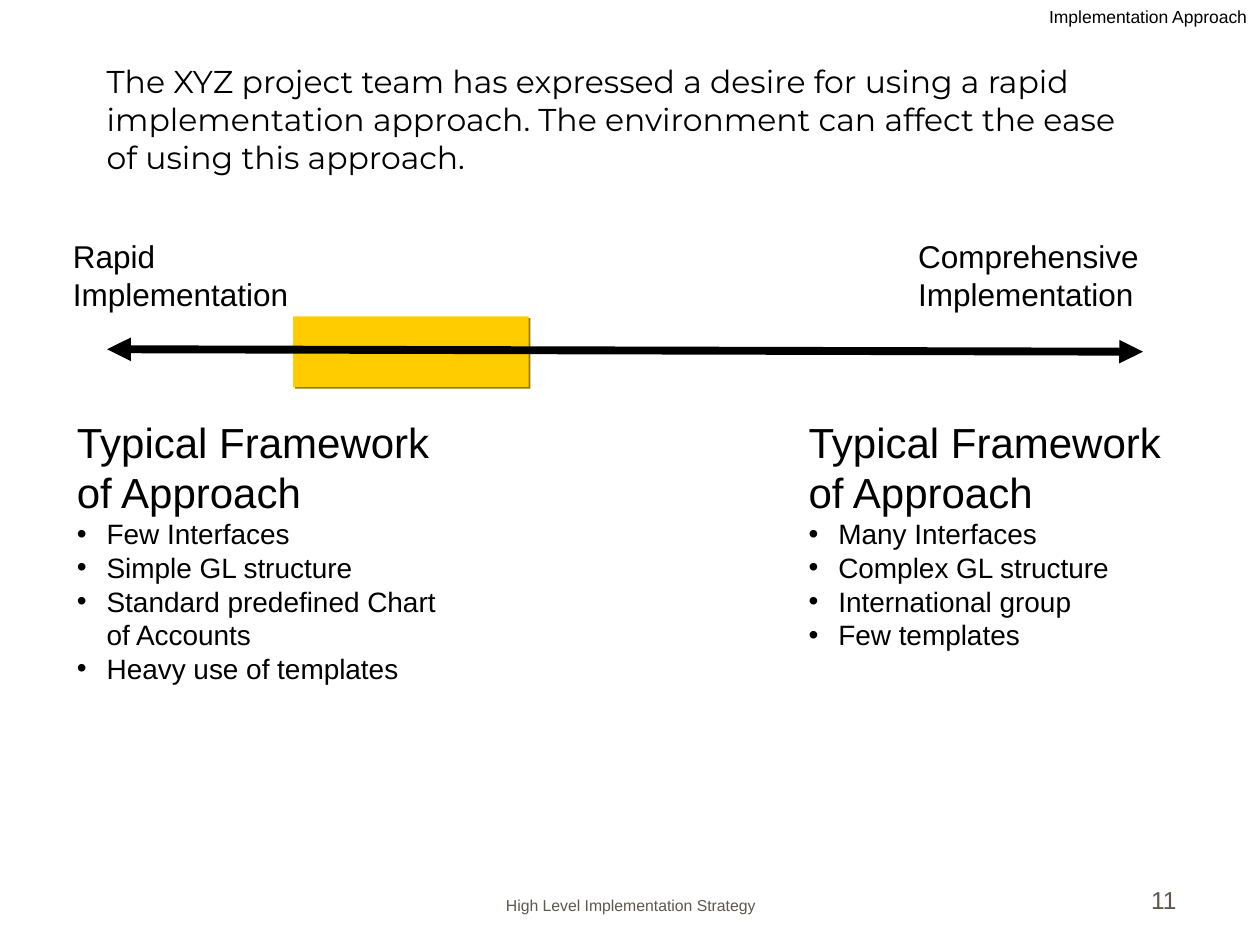
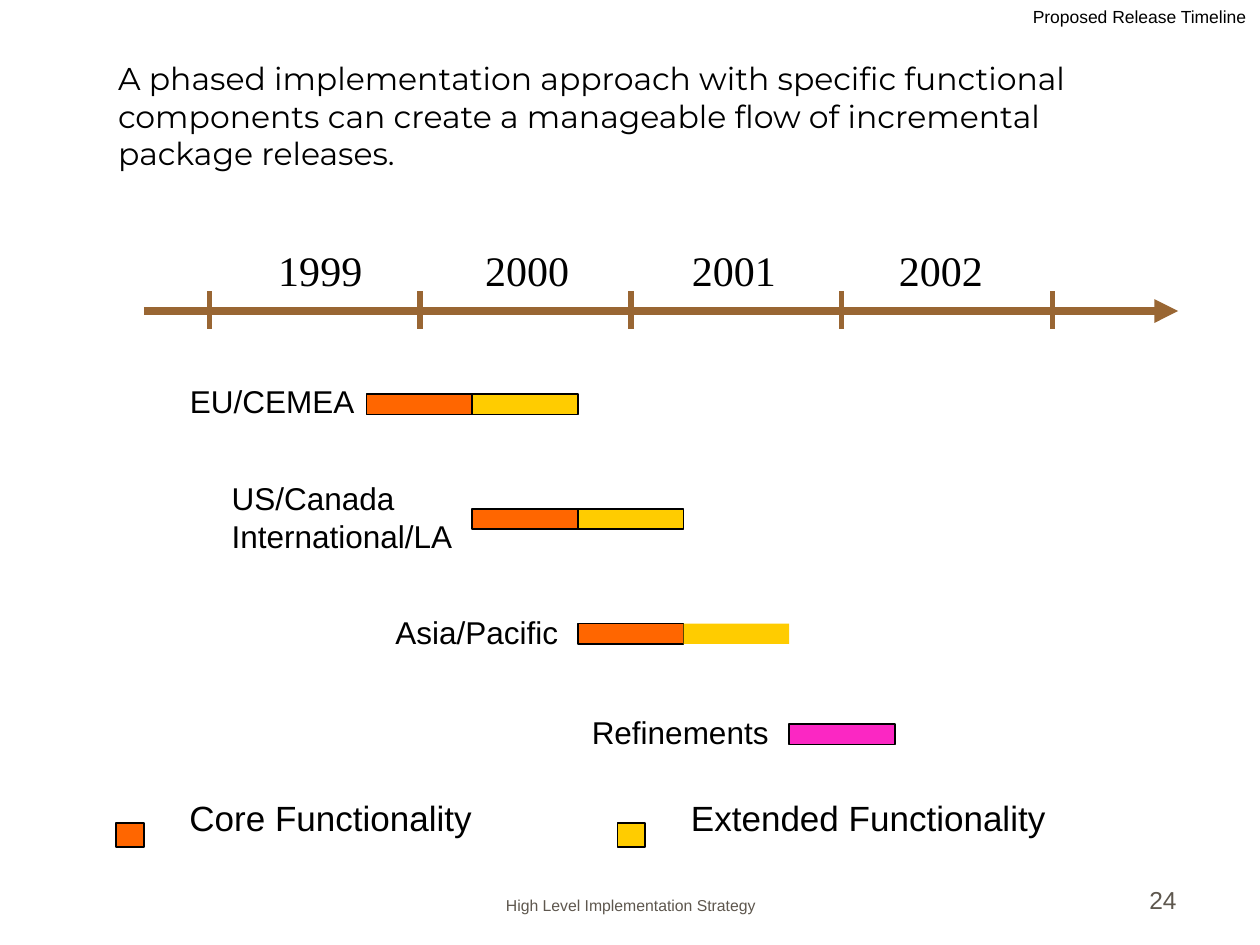
from dataclasses import dataclass

from lxml.etree import SubElement
from pptx import Presentation
from pptx.dml.color import RGBColor
from pptx.enum.shapes import MSO_CONNECTOR as Connector, MSO_SHAPE as Preset
from pptx.enum.text import MSO_ANCHOR as Anchor, MSO_AUTO_SIZE as AutoSize, PP_ALIGN as Align
from pptx.oxml.ns import qn
from pptx.util import Cm, Pt

COLOURS = {
    "text": "000000", "footer": "5E574E", "axis": "996633", "shadow": "987900",
    "core": "FF6600", "extended": "FFCC00", "refinement": "FB27C3",
}
PAGE_WIDTH, PAGE_HEIGHT = 25.4, 19.05
TWO_CONTENT, TITLE_ONLY = 3, 5
MARGINS = {"margin_left": Cm(0.25), "margin_right": Cm(0.25),
           "margin_top": Cm(0.13), "margin_bottom": Cm(0.13)}
BULLET_INDENT = 0.6


@dataclass
class Area:
    """A rectangle in centimetres."""
    left: float
    top: float
    width: float
    height: float

    def lengths(self) -> tuple:
        return Cm(self.left), Cm(self.top), Cm(self.width), Cm(self.height)


@dataclass
class TextStyle:
    size: float
    font: str = "Arial"
    colour: str = "text"
    align: Align = Align.LEFT
    anchor: Anchor = Anchor.TOP
    wrap: bool = False
    before: float = 0


@dataclass
class Phase:
    label: str
    label_area: Area
    top: float
    first_half_year: int
    colours: tuple
    last_outlined: bool = True


TITLE = TextStyle(18, "Montserrat", anchor=Anchor.MIDDLE, wrap=True)
TAG = TextStyle(10)
LABEL = TextStyle(18)
YEAR = TextStyle(24, "Times New Roman")
LEGEND = TextStyle(20)
HEADING = TextStyle(24, wrap=True)
ITEM = TextStyle(16, wrap=True)
FOOTER = TextStyle(9, colour="footer", align=Align.CENTER, anchor=Anchor.BOTTOM,
                   wrap=True, before=5.6)
NUMBER = TextStyle(14, colour="footer", align=Align.RIGHT, anchor=Anchor.BOTTOM,
                   wrap=True, before=8.8)

FRAMEWORKS = [
    (Area(1.3, 8.26, 8, 5.69),
     ["Few Interfaces", "Simple GL structure", "Standard predefined Chart of Accounts",
      "Heavy use of templates"]),
    (Area(16.05, 8.26, 8.05, 5),
     ["Many Interfaces", "Complex GL structure", "International group", "Few templates"]),
]
PHASES = [
    Phase("EU/CEMEA", Area(3.58, 7.57, 3.81, 1.02), 7.95, 0, ("core", "extended")),
    Phase("US/Canada\nInternational/LA", Area(4.42, 9.53, 4.95, 1.78), 10.26, 1,
          ("core", "extended")),
    Phase("Asia/Pacific", Area(7.72, 12.22, 3.78, 1.02), 12.57, 2, ("core", "extended"),
          last_outlined=False),
    Phase("Refinements", Area(11.68, 14.25, 4.06, 1.02), 14.6, 4, ("refinement",)),
]


def rgb(name: str) -> RGBColor:
    return RGBColor.from_string(COLOURS[name])


def set_formats(target, formats: dict) -> None:
    for name, value in formats.items():
        setattr(target, name, value)


def place(shape, area: Area) -> None:
    set_formats(shape, dict(zip(("left", "top", "width", "height"), area.lengths())))


def format_para(para, style: TextStyle) -> None:
    set_formats(para, {"alignment": style.align, "space_before": Pt(style.before)})
    for span in para.runs:
        set_formats(span.font, {"name": style.font, "size": Pt(style.size)})
        span.font.color.rgb = rgb(style.colour)


def write(shape, text: str, style: TextStyle) -> None:
    frame = shape.text_frame
    frame.text = text
    set_formats(frame, MARGINS | {"auto_size": AutoSize.NONE, "word_wrap": style.wrap,
                                  "vertical_anchor": style.anchor})
    for para in frame.paragraphs:
        format_para(para, style)


def add_text(page, area: Area, text: str, style: TextStyle) -> None:
    write(page.shapes.add_textbox(*area.lengths()), text, style)


def add_box(page, area: Area, colour: str, outlined: bool = True):
    box = page.shapes.add_shape(Preset.RECTANGLE, *area.lengths())
    box.shadow.inherit = False
    box.fill.solid()
    box.fill.fore_color.rgb = rgb(colour)
    if outlined:
        box.line.color.rgb = rgb("text")
        box.line.width = Pt(1)
    else:
        box.line.fill.background()
    return box


def add_hard_shadow(box) -> None:
    effects = box._element.spPr.find(qn("a:effectLst"))
    shadow = SubElement(effects, qn("a:outerShdw"), dist=str(Pt(1.4)), dir="2700000",
                        algn="ctr", rotWithShape="0")
    SubElement(shadow, qn("a:srgbClr"), val=COLOURS["shadow"])


def add_line(page, start: tuple, end: tuple, colour: str, width: float,
             arrow_ends: tuple = ()) -> None:
    """Draw a straight line; arrow_ends may hold headEnd (start) and tailEnd (end)."""
    line = page.shapes.add_connector(Connector.STRAIGHT, *map(Cm, start + end))
    line.line.color.rgb = rgb(colour)
    line.line.width = Pt(width)
    for arrow_end in arrow_ends:
        SubElement(line.line._get_or_add_ln(), qn(f"a:{arrow_end}"), type="triangle")
    SubElement(line._element.spPr, qn("a:effectLst"))


def set_bullet(para, bulleted: bool) -> None:
    indent = Cm(BULLET_INDENT) if bulleted else 0
    properties = para._p.get_or_add_pPr()
    set_formats_xml = {"marL": indent, "indent": -indent}
    for name, value in set_formats_xml.items():
        properties.set(name, str(value))
    if bulleted:
        SubElement(properties, qn("a:buFont"), typeface="Arial")
        SubElement(properties, qn("a:buChar"), char="•")
    else:
        SubElement(properties, qn("a:buNone"))


def fill_framework(body, area: Area, items: list) -> None:
    place(body, area)
    write(body, "\n".join(["Typical Framework of Approach", *items]), ITEM)
    heading, *points = body.text_frame.paragraphs
    format_para(heading, HEADING)
    set_bullet(heading, False)
    for point in points:
        set_bullet(point, True)


def add_page(deck, layout: int, title: str, title_area: Area, tag: str, tag_width: float,
             number: int):
    page = deck.slides.add_slide(deck.slide_layouts[layout])
    place(page.shapes.title, title_area)
    write(page.shapes.title, title, TITLE)
    add_text(page, Area(PAGE_WIDTH - tag_width, 0, tag_width, 0.69), tag, TAG)
    add_text(page, Area(8.69, 17.3, 8.05, 1.27), "High Level Implementation Strategy", FOOTER)
    add_text(page, Area(18.69, 17.3, 5.28, 1.27), str(number), NUMBER)
    return page


def build_approach(deck) -> None:
    page = add_page(
        deck, TWO_CONTENT,
        "The XYZ project team has expressed a desire for using a rapid implementation "
        "approach. The environment can affect the ease of using this approach.",
        Area(1.9, 1.27, 21.6, 2.26), "Implementation Approach", 4.5, 11)
    add_hard_shadow(add_box(page, Area(5.91, 6.38, 4.75, 1.42), "extended", outlined=False))
    add_line(page, (2.16, 7.04), (23.04, 7.09), "text", 4.5, ("headEnd", "tailEnd"))
    add_text(page, Area(1.22, 4.65, 4.85, 1.78), "Rapid\nImplementation", LABEL)
    add_text(page, Area(18.26, 4.65, 4.95, 1.78), "Comprehensive\nImplementation", LABEL)
    bodies = list(page.placeholders)[1:]
    for body, (area, items) in zip(bodies, FRAMEWORKS):
        fill_framework(body, area, items)


def add_phase(page, phase: Phase) -> None:
    half_year = 2.13
    add_text(page, phase.label_area, phase.label, LABEL)
    for step, colour in enumerate(phase.colours):
        is_last = step == len(phase.colours) - 1
        left = 7.39 + (phase.first_half_year + step) * half_year
        add_box(page, Area(left, phase.top, half_year, 0.41), colour,
                outlined=phase.last_outlined or not is_last)


def build_timeline(deck) -> None:
    page = add_page(
        deck, TITLE_ONLY,
        "A phased implementation approach with specific functional components can create "
        "a manageable flow of incremental package releases.",
        Area(2.13, 0.74, 21.6, 3.18), "Proposed Release Timeline", 4.83, 24)
    add_line(page, (2.9, 6.27), (23.75, 6.27), "axis", 4.5, ("tailEnd",))
    for tick in range(5):
        x = 4.22 + tick * 4.25
        add_line(page, (x, 5.87), (x, 6.63), "axis", 3)
    for index, year in enumerate(range(1999, 2003)):
        add_text(page, Area(5.36 + index * 4.17, 4.8, 2.18, 1.27), str(year), YEAR)
    for phase in PHASES:
        add_phase(page, phase)
    for left, width, colour, label in ((2.34, 6.2, "core", "Core Functionality"),
                                       (12.45, 7.65, "extended", "Extended Functionality")):
        add_box(page, Area(left, 16.59, 0.56, 0.48), colour)
        add_text(page, Area(left + 1.23, 15.93, width, 1.12), label, LEGEND)


def main() -> None:
    deck = Presentation()
    set_formats(deck, {"slide_width": Cm(PAGE_WIDTH), "slide_height": Cm(PAGE_HEIGHT)})
    build_approach(deck)
    build_timeline(deck)
    deck.save("out.pptx")


if __name__ == "__main__":
    main()
